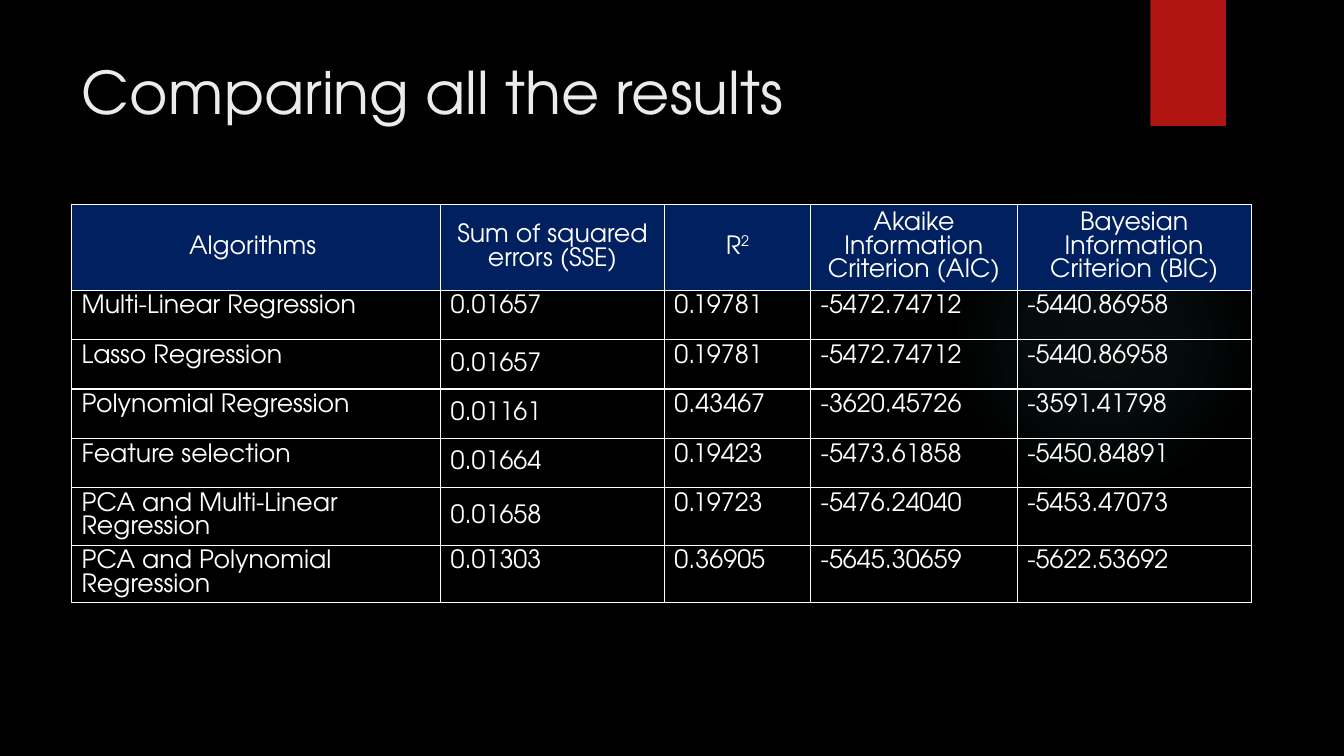
from lxml import etree
from pptx import Presentation
from pptx.dml.color import RGBColor
from pptx.enum.shapes import MSO_SHAPE
from pptx.enum.text import MSO_ANCHOR, PP_ALIGN
from pptx.oxml import parse_xml
from pptx.oxml.ns import nsdecls, qn
from pptx.util import Inches, Pt

TOP, MIDDLE = MSO_ANCHOR.TOP, MSO_ANCHOR.MIDDLE
LEFT, CENTER = PP_ALIGN.LEFT, PP_ALIGN.CENTER
RECTANGLE, OVAL = MSO_SHAPE.RECTANGLE, MSO_SHAPE.OVAL

# Content
TITLE = "Comparing all the results"
HEADERS = ["Algorithms ", "Sum of squared errors (SSE)", "R²",
           "Akaike Information Criterion (AIC)",
           "Bayesian Information Criterion (BIC)"]
RESULTS = [
    ("Multi-Linear Regression", "0.01657", "0.19781", "-5472.74712", "-5440.86958"),
    ("Lasso Regression", "0.01657", "0.19781", "-5472.74712", "-5440.86958"),
    ("Polynomial Regression", "0.01161", "0.43467", "-3620.45726", "-3591.41798"),
    ("Feature selection", "0.01664", "0.19423", "-5473.61858", "-5450.84891"),
    ("PCA and Multi-Linear Regression", "0.01658", "0.19723", "-5476.24040", "-5453.47073"),
    ("PCA and Polynomial Regression", "0.01303", "0.36905", "-5645.30659", "-5622.53692"),
]
COL_WIDTHS = [3.66, 2.22, 1.45, 2.05, 2.32]
HEADER_HEIGHT, ROW_HEIGHT, TWO_LINE_HEIGHT = 0.85, 0.49, 0.57
SSE_COL, CENTERED_SSE_ROWS = 1, range(2, 6)


class Theme:
    font = "TeX Gyre Adventor"
    background = RGBColor(0x00, 0x00, 0x00)
    title = RGBColor(0xEB, 0xEB, 0xEB)
    text = RGBColor(0xFF, 0xFF, 0xFF)
    header = RGBColor(0x00, 0x20, 0x60)
    accent = RGBColor(0xB0, 0x15, 0x13)
    glow = "50B9C1"
    border = "FFFFFF"
    title_size, cell_size, cell_leading = Pt(42), Pt(18), Pt(16.8)


def add_plain_shape(s, kind, x, y, w, h):
    sp = s.shapes.add_shape(kind, Inches(x), Inches(y), Inches(w), Inches(h))
    sp.shadow.inherit = False
    sp.line.fill.background()
    return sp


def set_glow(sp):
    stops = "".join(
        f'<a:gs pos="{pos * 1000}"><a:srgbClr val="{Theme.glow}">'
        f'<a:alpha val="{alpha * 1000}"/></a:srgbClr></a:gs>'
        for pos, alpha in [(0, 7), (36, 6), (69, 0), (100, 0)])
    geometry = sp._element.spPr.find(qn("a:prstGeom"))
    geometry.addnext(parse_xml(
        f'<a:gradFill {nsdecls("a")}><a:gsLst>{stops}</a:gsLst>'
        '<a:path path="circle"><a:fillToRect l="50000" t="50000" '
        'r="50000" b="50000"/></a:path></a:gradFill>'))


def set_borders(cell):
    tcPr = cell._tc.get_or_add_tcPr()
    for i, side in enumerate(("lnL", "lnR", "lnT", "lnB")):
        ln = etree.Element(qn(f"a:{side}"), w=str(Pt(1)))
        fill = etree.SubElement(ln, qn("a:solidFill"))
        etree.SubElement(fill, qn("a:srgbClr"), val=Theme.border)
        tcPr.insert(i, ln)


def write_cell(cell, text, align, anchor):
    cell.vertical_anchor = anchor
    p = cell.text_frame.paragraphs[0]
    p.alignment = align
    p.line_spacing = Theme.cell_leading
    p.font.name, p.font.size = Theme.font, Theme.cell_size
    p.font.color.rgb = Theme.text
    p.add_run().text = text.removesuffix("²")
    if text.endswith("²"):
        r = p.add_run()
        r.text = "2"
        r._r.get_or_add_rPr().set("baseline", "30000")


def main():
    prs = Presentation()
    prs.slide_width, prs.slide_height = Inches(13.33), Inches(7.5)
    s = prs.slides.add_slide(prs.slide_layouts[5])
    s.background.fill.solid()
    s.background.fill.fore_color.rgb = Theme.background

    # Glow and red tab
    set_glow(add_plain_shape(s, OVAL, 9.41, 1.83, 3.08, 3.08))
    tab = add_plain_shape(s, RECTANGLE, 11.41, 0, 0.75, 1.25)
    tab.fill.solid()
    tab.fill.fore_color.rgb = Theme.accent

    # Title
    title = s.shapes.title
    title.left, title.top = Inches(0.71), Inches(0.5)
    title.width, title.height = Inches(10.29), Inches(1.53)
    tf = title.text_frame
    tf.text = TITLE
    tf.vertical_anchor = TOP
    p = tf.paragraphs[0]
    p.alignment = LEFT
    p.font.name, p.font.size = Theme.font, Theme.title_size
    p.font.color.rgb = Theme.title

    # Results table
    heights = [HEADER_HEIGHT] + [
        TWO_LINE_HEIGHT if row[0].startswith("PCA") else ROW_HEIGHT
        for row in RESULTS]
    table = s.shapes.add_table(
        len(heights), len(COL_WIDTHS), Inches(0.71), Inches(2.03),
        Inches(sum(COL_WIDTHS)), Inches(sum(heights))).table
    table.first_row = table.horz_banding = False
    for col, width in zip(table.columns, COL_WIDTHS):
        col.width = Inches(width)
    for i, values in enumerate([HEADERS, *RESULTS]):
        table.rows[i].height = Inches(heights[i])
        is_header = i == 0
        for j, value in enumerate(values):
            cell = table.cell(i, j)
            centered = is_header or (j == SSE_COL and i in CENTERED_SSE_ROWS)
            write_cell(cell, value, CENTER if is_header else LEFT,
                       MIDDLE if centered else TOP)
            if is_header:
                cell.fill.solid()
                cell.fill.fore_color.rgb = Theme.header
            else:
                cell.fill.background()
            set_borders(cell)

    prs.save("out.pptx")


if __name__ == "__main__":
    main()
